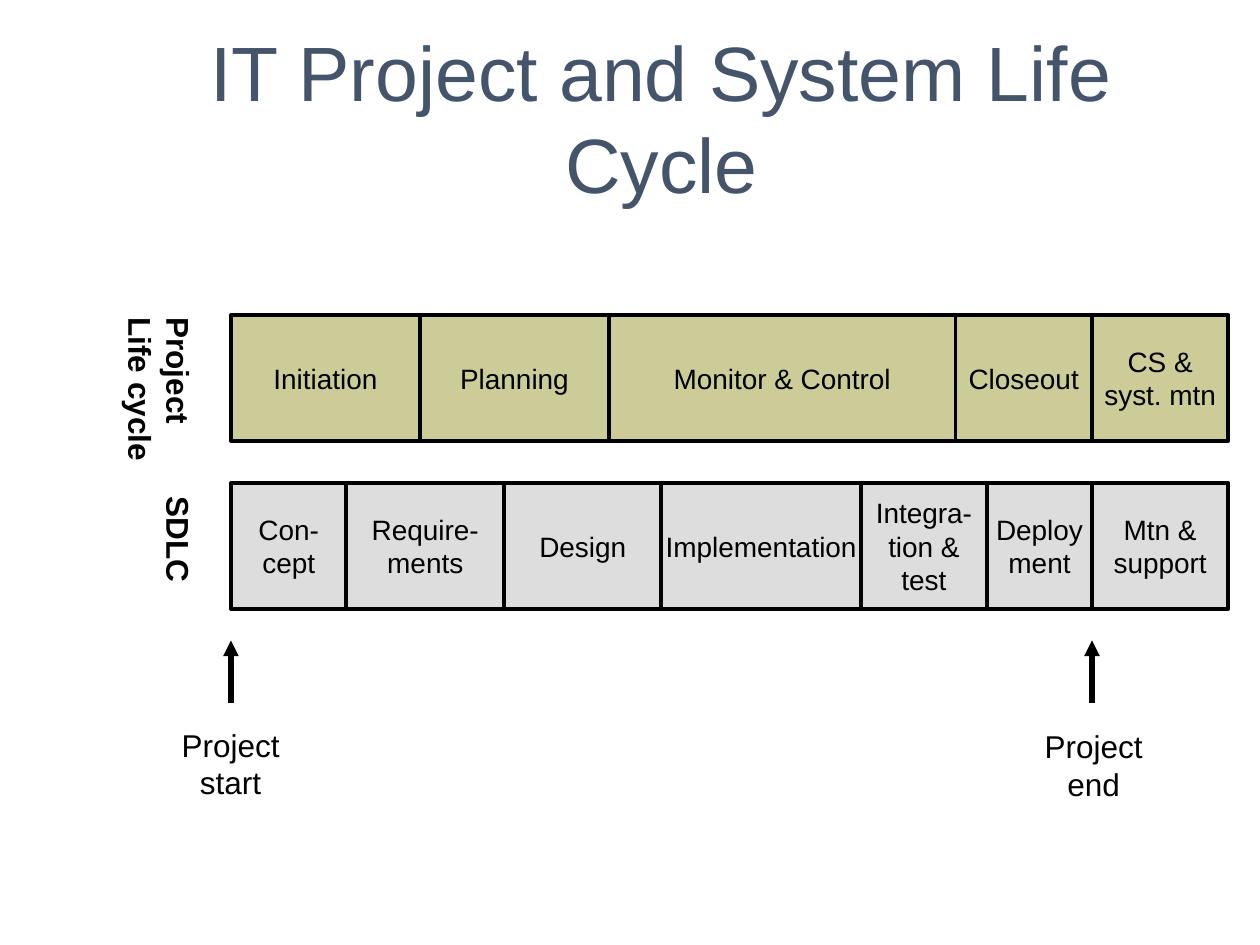
from lxml import etree
from pptx import Presentation
from pptx.dml.color import RGBColor
from pptx.enum.shapes import MSO_CONNECTOR, MSO_SHAPE
from pptx.enum.text import MSO_ANCHOR, MSO_AUTO_SIZE, PP_ALIGN
from pptx.oxml.ns import qn
from pptx.util import Inches, Pt

RECTANGLE, STRAIGHT = MSO_SHAPE.RECTANGLE, MSO_CONNECTOR.STRAIGHT
TOP, MIDDLE = MSO_ANCHOR.TOP, MSO_ANCHOR.MIDDLE
LEFT, CENTER = PP_ALIGN.LEFT, PP_ALIGN.CENTER
FIT_SHAPE = MSO_AUTO_SIZE.SHAPE_TO_FIT_TEXT

FONT = "Arial"
BLACK, SLATE, KHAKI, GRAY = "000000", "44546A", "CCCC99", "DDDDDD"

TITLE = "IT Project and System Life Cycle"

# The drawing sits on a grid of twelfths of an inch.
GRID = Inches(1) / 12
BAR_LEFT, BAR_HEIGHT = 22, 12
ARROW_TOP, ARROW_HEIGHT = 61, 6

# Each bar: top row, fill, and phases with their widths in grid columns.
BARS = [
    (30, KHAKI, [("Initiation", 18), ("Planning", 18), ("Monitor & Control", 33),
                 ("Closeout", 13), ("CS &\nsyst. mtn", 13)]),
    (46, GRAY, [("Con-\ncept", 11), ("Require-\nments", 15), ("Design", 15),
                ("Implementation", 19), ("Integra-\ntion &\ntest", 12),
                ("Deploy\nment", 10), ("Mtn &\nsupport", 13)]),
]
# Each bar label: text, then left, top, width and height in inches.
BAR_LABELS = [
    ("Project\nLife cycle", (0.82, 2.42, 0.8, 1.24)),
    ("SDLC", (1.12, 3.84, 0.5, 0.78)),
]
# Each milestone: text, arrow column, label box in inches.
MILESTONES = [
    ("Project\nstart", 22, (1.34, 5.71, 0.98, 0.7)),
    ("Project\nend", 104, (8.19, 5.72, 0.98, 0.7)),
]


def color(value):
    return RGBColor.from_string(value)


def grid(*steps):
    return [round(step * GRID) for step in steps]


def inches(box):
    return [Inches(length) for length in box]


def write(shape, text, size, font_color=BLACK, bold=False, align=CENTER,
          anchor=MIDDLE, wrap=False, vertical=False):
    """Fill a shape with text, one paragraph per line."""
    frame = shape.text_frame
    frame.text = text
    frame.word_wrap = wrap
    frame.vertical_anchor = anchor
    across, down = (0.05, 0.1) if vertical else (0.1, 0.05)
    frame.margin_left = frame.margin_right = Inches(across)
    frame.margin_top = frame.margin_bottom = Inches(down)
    if vertical:
        frame._txBody.find(qn("a:bodyPr")).set("vert", "eaVert")
    for paragraph in frame.paragraphs:
        paragraph.alignment = align
        for run in paragraph.runs:
            run.font.name = FONT
            run.font.size = Pt(size)
            run.font.bold = bold
            run.font.color.rgb = color(font_color)


def add_title(slide):
    title = slide.shapes.title
    title.left, title.top, title.width, title.height = inches((1, 0.14, 8.5, 1.57))
    write(title, TITLE, 44, font_color=SLATE, wrap=True)


def add_bar(slide, top, fill, phases):
    left = BAR_LEFT
    for text, width in phases:
        box = slide.shapes.add_shape(RECTANGLE, *grid(left, top, width, BAR_HEIGHT))
        box.shadow.inherit = False
        box.fill.solid()
        box.fill.fore_color.rgb = color(fill)
        box.line.color.rgb = color(BLACK)
        box.line.width = Pt(2.25)
        write(box, text, 16)
        left += width


def add_arrow(slide, column):
    """Draw an arrow pointing up at a grid column."""
    arrow = slide.shapes.add_connector(
        STRAIGHT, *grid(column, ARROW_TOP, column, ARROW_TOP + ARROW_HEIGHT))
    arrow.line.color.rgb = color(BLACK)
    arrow.line.width = Pt(3)
    properties = arrow.line._get_or_add_ln()
    etree.SubElement(properties, qn("a:headEnd"), type="triangle")
    etree.SubElement(properties.getparent(), qn("a:effectLst"))


def add_label(slide, text, box, **text_format):
    label = slide.shapes.add_textbox(*inches(box))
    write(label, text, 18, anchor=TOP, **text_format)
    label.text_frame.auto_size = FIT_SHAPE


def main():
    presentation = Presentation()
    presentation.slide_width, presentation.slide_height = Inches(10), Inches(7.5)
    slide = presentation.slides.add_slide(presentation.slide_layouts.get_by_name("Title Only"))
    add_title(slide)
    for top, fill, phases in BARS:
        add_bar(slide, top, fill, phases)
    for text, column, box in MILESTONES:
        add_arrow(slide, column)
        add_label(slide, text, box)
    for text, box in BAR_LABELS:
        add_label(slide, text, box, bold=True, align=LEFT, vertical=True)
    presentation.save("out.pptx")


if __name__ == "__main__":
    main()
